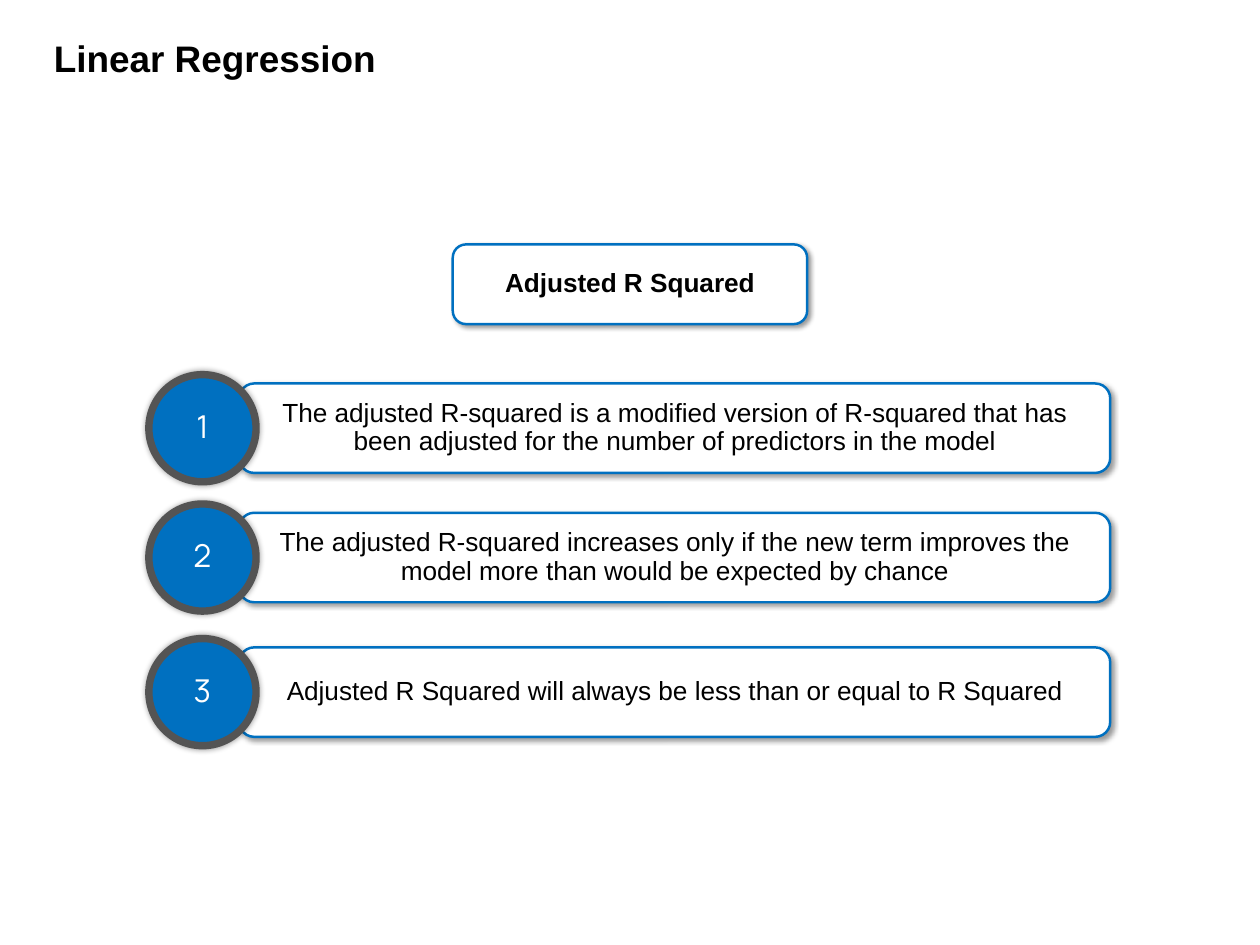
from dataclasses import dataclass

import lxml.etree
import pptx
import pptx.dml.color
import pptx.enum.shapes
import pptx.enum.text
import pptx.oxml.ns
import pptx.util

Inches = pptx.util.Inches
Pt = pptx.util.Pt
SHAPE = pptx.enum.shapes.MSO_SHAPE
ALIGN = pptx.enum.text.PP_ALIGN
ANCHOR = pptx.enum.text.MSO_ANCHOR

BLACK, WHITE, BLUE, GREY = "000000", "FFFFFF", "0070C0", "545454"


@dataclass
class Shadow:
    blur: float
    dist: float
    angle: int


@dataclass
class Style:
    preset: int
    fill: str
    line: str
    line_width: float
    shadow: Shadow


@dataclass
class Point:
    top: float
    text: str


BOX = Style(SHAPE.ROUNDED_RECTANGLE, WHITE, BLUE, 2, Shadow(4, 3, 45))
BADGE = Style(SHAPE.OVAL, BLUE, GREY, 6, Shadow(5, 0, 0))

BAR_LEFT, BAR_WIDTH, BAR_HEIGHT = 2.7, 9.83, 1.01
BADGE_LEFT, BADGE_SIZE = 1.68, 1.21

POINTS = [
    Point(4.33, "The adjusted R-squared is a modified version of R-squared that has "
                "been adjusted for the number of predictors in the model"),
    Point(5.79, "The adjusted R-squared increases only if the new term improves the "
                "model more than would be expected by chance"),
    Point(7.31, "Adjusted R Squared will always be less than or equal to R Squared"),
]


def rgb(color: str) -> pptx.dml.color.RGBColor:
    return pptx.dml.color.RGBColor.from_string(color)


def write(sp, text: str, *, size: float = 21.3, font: str = "Arial", color: str = BLACK,
          bold: bool = False, align=ALIGN.CENTER, anchor=ANCHOR.MIDDLE) -> None:
    tf = sp.text_frame
    tf.word_wrap = True
    tf.vertical_anchor = anchor
    p = tf.paragraphs[0]
    p.alignment = align
    p.line_spacing = 0.9
    r = p.add_run()
    r.text = text
    r.font.size = Pt(size)
    r.font.name = font
    r.font.bold = bold
    r.font.color.rgb = rgb(color)


def add_shadow(sp, shadow: Shadow) -> None:
    """Give the shape a black outer shadow at 40 % opacity."""
    qn = pptx.oxml.ns.qn
    sp.shadow.inherit = False
    effects = sp._element.spPr.find(qn("a:effectLst"))
    outer = lxml.etree.SubElement(
        effects, qn("a:outerShdw"), blurRad=str(Pt(shadow.blur)), dist=str(Pt(shadow.dist)),
        dir=str(shadow.angle * 60000), algn="ctr", rotWithShape="0")
    color = lxml.etree.SubElement(outer, qn("a:srgbClr"), val=BLACK)
    lxml.etree.SubElement(color, qn("a:alpha"), val="40000")


def add_styled(shapes, style: Style, left: float, top: float, width: float, height: float):
    sp = shapes.add_shape(style.preset, Inches(left), Inches(top), Inches(width), Inches(height))
    sp.fill.solid()
    sp.fill.fore_color.rgb = rgb(style.fill)
    sp.line.color.rgb = rgb(style.line)
    sp.line.width = Pt(style.line_width)
    add_shadow(sp, style.shadow)
    return sp


def add_point(shapes, number: int, point: Point) -> None:
    """Group a text bar with the numbered badge centred on its height."""
    group = shapes.add_group_shape().shapes
    bar = add_styled(group, BOX, BAR_LEFT, point.top, BAR_WIDTH, BAR_HEIGHT)
    write(bar, point.text)
    badge_top = point.top - (BADGE_SIZE - BAR_HEIGHT) / 2
    badge = add_styled(group, BADGE, BADGE_LEFT, badge_top, BADGE_SIZE, BADGE_SIZE)
    write(badge, str(number), size=25.6, font="Manrope", color=WHITE)


def main() -> None:
    prs = pptx.Presentation()
    prs.slide_width, prs.slide_height = Inches(14.22), Inches(10.67)
    shapes = prs.slides.add_slide(prs.slide_layouts[6]).shapes

    heading = add_styled(shapes, BOX, 5.11, 2.76, 4, 0.9)
    write(heading, "Adjusted R Squared", bold=True)
    for number, point in enumerate(POINTS, start=1):
        add_point(shapes, number, point)

    title = shapes.add_textbox(Inches(0.51), Inches(0.41), Inches(7.34), Inches(0.56))
    write(title, "Linear Regression", size=30, bold=True, align=ALIGN.LEFT, anchor=ANCHOR.TOP)
    title.text_frame.auto_size = pptx.enum.text.MSO_AUTO_SIZE.SHAPE_TO_FIT_TEXT

    prs.save("out.pptx")


if __name__ == "__main__":
    main()
